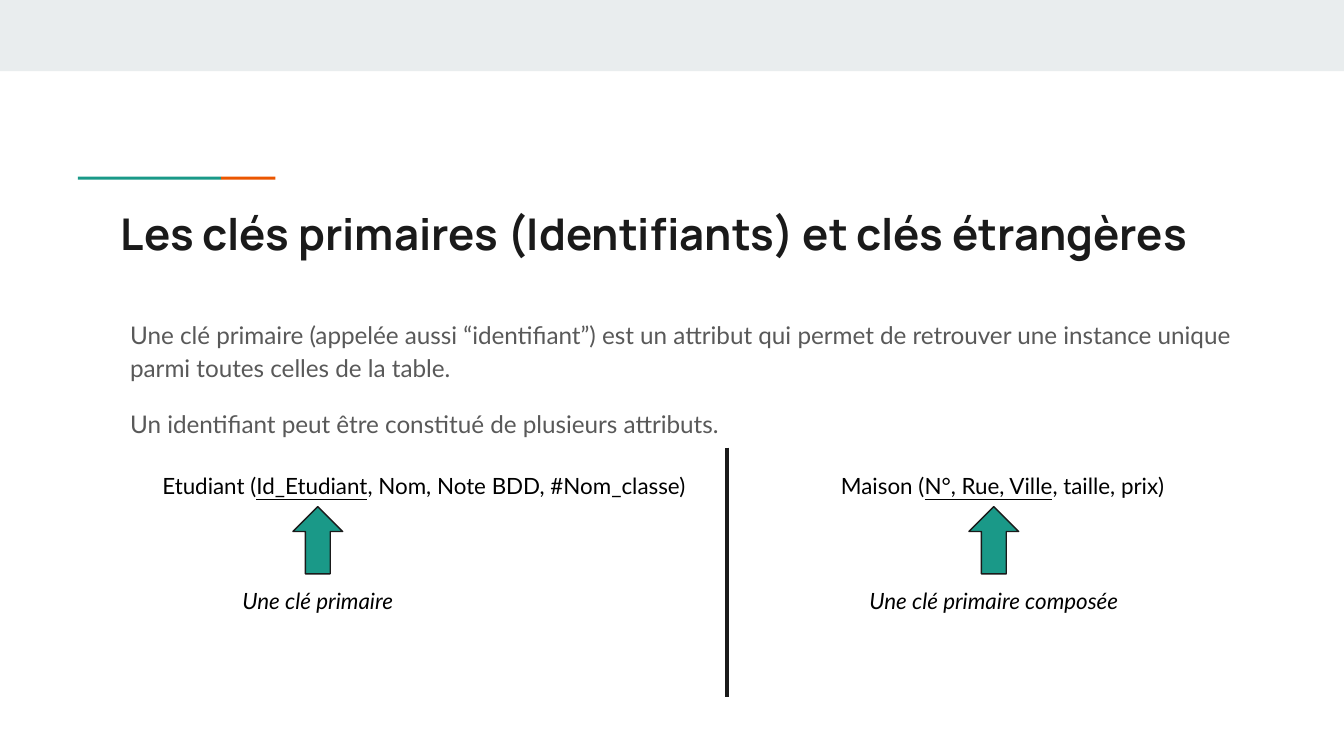
import collections

import lxml.etree
import pptx
import pptx.dml.color
import pptx.enum.shapes
import pptx.enum.text
import pptx.oxml.ns
import pptx.util

# The grid has square cells: 100 columns by 56.25 rows.
SLIDE_WIDTH = pptx.util.Inches(10)
COLUMNS, ROWS = 100, 56.25
CELL = SLIDE_WIDTH / COLUMNS

INK, TEAL, ORANGE = "1A1A1A", "1A9988", "EB5600"
BAND, GREY, BLACK = "E9EDEE", "595959", "000000"

Box = collections.namedtuple("Box", "left top width height")
SHAPES = pptx.enum.shapes.MSO_SHAPE
ALIGN = pptx.enum.text.PP_ALIGN


def cells(*lengths):
    return [round(length * CELL) for length in lengths]


def color(value):
    return pptx.dml.color.RGBColor.from_string(value)


def add_shape(page, kind, box, fill, outline=None):
    shape = page.shapes.add_shape(kind, *cells(*box))
    shape.shadow.inherit = False
    shape.fill.solid()
    shape.fill.fore_color.rgb = color(fill)
    if outline:
        shape.line.color.rgb = color(outline)
        shape.line.width = pptx.util.Pt(0.75)
    else:
        shape.line.fill.background()


def add_text(page, box, paragraphs, font="Lato", size=12, ink=BLACK, bold=False,
             italic=False, align=ALIGN.LEFT, spacing=1.0, gap=0):
    """Each paragraph is a list of (text, underlined) spans."""
    frame = page.shapes.add_textbox(*cells(*box)).text_frame
    frame.word_wrap = True
    frame.margin_left = frame.margin_right = pptx.util.Inches(0.1)
    frame.margin_top = frame.margin_bottom = pptx.util.Inches(0.1)
    for index, spans in enumerate(paragraphs):
        para = frame.add_paragraph() if index else frame.paragraphs[0]
        para.alignment = align
        para.line_spacing = spacing
        para.space_before = pptx.util.Pt(gap if index else 0)
        for text, underlined in spans:
            span = para.add_run()
            span.text = text
            span.font.name = font
            span.font.size = pptx.util.Pt(size)
            span.font.bold = bold
            span.font.italic = italic
            span.font.underline = underlined
            span.font.color.rgb = color(ink)


def add_header(page, box):
    """Top band with the two-coloured accent rule below it."""
    add_shape(page, SHAPES.RECTANGLE, box._replace(height=5.3), BAND)
    left, top = box.left + 5.8, box.top + 13.15
    for width, fill in ((10.65, TEAL), (4.05, ORANGE)):
        add_shape(page, SHAPES.RECTANGLE, Box(left, top, width, 0.22), fill)
        left += width


def add_divider(page, box):
    line = page.shapes.add_connector(
        pptx.enum.shapes.MSO_CONNECTOR.STRAIGHT,
        *cells(box.left, box.top, box.left, box.top + box.height))
    line.line.color.rgb = color(INK)
    line.line.width = pptx.util.Pt(2.25)
    properties = line._element.spPr
    lxml.etree.SubElement(properties, pptx.oxml.ns.qn("a:effectLst"))


def add_key_example(page, box, schema, caption, key_center, caption_width):
    """Table schema with an arrow and caption centred under its key."""
    row, arrow_width, arrow_height = 4, 3.7, 5
    arrow_top = box.top + 3.6
    center = box.left + key_center
    add_text(page, box._replace(height=row), [schema], align=ALIGN.CENTER)
    add_shape(page, SHAPES.UP_ARROW,
              Box(center - arrow_width / 2, arrow_top, arrow_width, arrow_height),
              TEAL, outline=INK)
    add_text(page,
             Box(center - caption_width / 2, arrow_top + arrow_height, caption_width, row),
             [[(caption, False)]], italic=True, align=ALIGN.CENTER)


def add_keys_slide(deck):
    page = deck.slides.add_slide(deck.slide_layouts[6])
    add_header(page, Box(0, 0, COLUMNS, ROWS))
    add_text(page, Box(8, 14.4, 84.1, 5.9),
             [[("Les clés primaires (Identifiants) et clés étrangères", False)]],
             font="Manrope", size=23.4, ink=INK, bold=True)
    add_text(page, Box(8.7, 22.5, 84.1, 12.5), [
        [("Une clé primaire (appelée aussi “identifiant”) est un attribut qui permet "
          "de retrouver une instance unique parmi toutes celles de la table.", False)],
        [("Un identifiant peut être constitué de plusieurs attributs.", False)],
    ], size=13, ink=GREY, spacing=1.15, gap=12)
    add_key_example(
        page, Box(3.7, 34.1, 55.7, 12.6),
        [("Etudiant (", False), ("Id_Etudiant", True),
         (", Nom, Note BDD, #Nom_classe)", False)],
        "Une clé primaire", key_center=19.95, caption_width=17.7)
    add_divider(page, Box(54.1, 33.3, 0, 18.6))
    add_key_example(
        page, Box(58.4, 34.1, 32.4, 12.6),
        [("Maison (", False), ("N°, Rue, Ville", True), (", taille, prix)", False)],
        "Une clé primaire composée", key_center=15.55, caption_width=21.9)


def main():
    deck = pptx.Presentation()
    deck.slide_width, deck.slide_height = cells(COLUMNS, ROWS)
    add_keys_slide(deck)
    deck.save("out.pptx")


if __name__ == "__main__":
    main()
